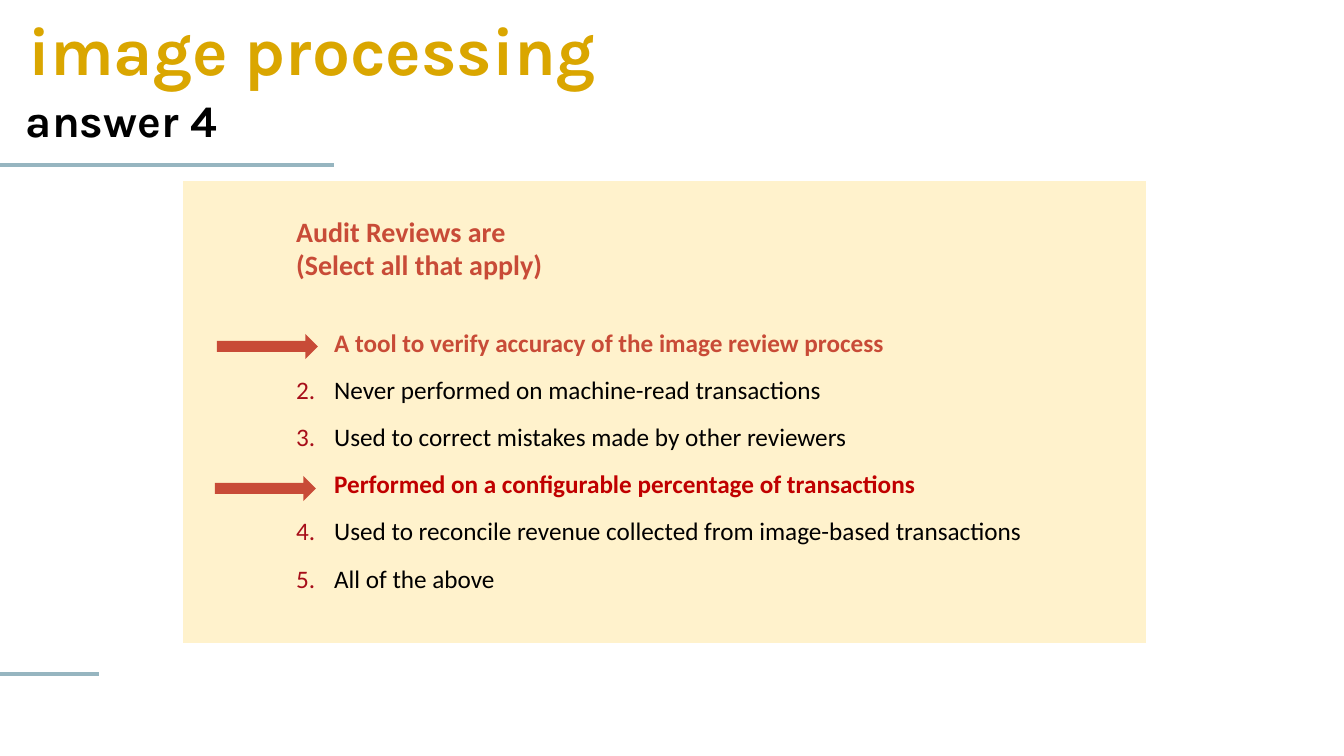
from lxml.etree import SubElement
from pptx import Presentation
from pptx.dml.color import RGBColor
from pptx.enum.shapes import MSO_CONNECTOR, MSO_SHAPE
from pptx.enum.text import MSO_ANCHOR, MSO_AUTO_SIZE, PP_ALIGN
from pptx.oxml.ns import qn
from pptx.util import Emu, Pt

EMU_PER_PX = 914400 / 100.8
COLORS = {
    "title": "DAA600", "text": "000000", "rule": "96B5C0",
    "panel": "FFF2CC", "border": "FFFFFF", "heading": "C84B37",
    "correct": "C00000", "number": "A70E19", "arrow_fill": "4472C4",
}
QUESTION = ["Audit Reviews are", "(Select all that apply)"]
# Each answer: wording, color, first number of its list (None marks a correct answer)
ANSWERS = [
    ("A tool to verify accuracy of the image review process", "heading", None),
    ("Never performed on machine-read transactions", "text", 2),
    ("Used to correct mistakes made by other reviewers", "text", 2),
    ("Performed on a configurable percentage of transactions", "correct", None),
    ("Used to reconcile revenue collected from image-based transactions", "text", 4),
    ("All of the above", "text", 4),
]


def px(length):
    return Emu(round(length * EMU_PER_PX))


def rgb(name):
    return RGBColor.from_string(COLORS[name])


def place(shape, left, top, width, height):
    shape.left, shape.top = px(left), px(top)
    shape.width, shape.height = px(width), px(height)


def set_up_frame(shape):
    frame = shape.text_frame
    frame.word_wrap = True
    frame.auto_size = MSO_AUTO_SIZE.NONE
    frame.vertical_anchor = MSO_ANCHOR.TOP
    return frame


def add_run(paragraph, text, font_name, size, color, bold=True):
    run = paragraph.add_run()
    run.text = text
    run.font.name = font_name
    run.font.size = Pt(size)
    run.font.bold = bold
    run.font.color.rgb = rgb(color)


def format_paragraph(paragraph, before=0, after=0):
    paragraph.alignment = PP_ALIGN.LEFT
    paragraph.line_spacing = 1.0
    paragraph.space_before = Pt(before)
    paragraph.space_after = Pt(after)


def set_numbering(paragraph, margin, start=None):
    properties = paragraph._p.get_or_add_pPr()
    properties.set("marL", str(px(margin)))
    properties.set("indent", str(px(-margin) if start else 0))
    if start is None:
        SubElement(properties, qn("a:buNone"))
        return
    bullet_color = SubElement(properties, qn("a:buClr"))
    SubElement(bullet_color, qn("a:srgbClr"), val=COLORS["number"])
    SubElement(properties, qn("a:buFont"), typeface="+mj-lt")
    SubElement(properties, qn("a:buAutoNum"), type="arabicPeriod", startAt=str(start))


def write_heading(shape, text, size, color):
    paragraph = set_up_frame(shape).paragraphs[0]
    format_paragraph(paragraph)
    add_run(paragraph, text, "Karla", size, color)


def add_rule(slide, top, width):
    rule = slide.shapes.add_connector(
        MSO_CONNECTOR.STRAIGHT, px(0), px(top), px(width), px(top))
    rule.line.color.rgb = rgb("rule")
    rule.line.width = Pt(3)
    SubElement(rule._element.spPr, qn("a:effectLst"))


def add_panel(slide, left, top, width, height):
    table = slide.shapes.add_table(
        1, 1, px(left), px(top), px(width), px(height)).table
    table.first_row = table.horz_banding = False
    cell = table.cell(0, 0)
    properties = cell._tc.get_or_add_tcPr()
    for side, points in (("L", 1), ("R", 1), ("T", 1), ("B", 3)):
        border = SubElement(properties, qn(f"a:ln{side}"), w=str(Pt(points)))
        fill = SubElement(border, qn("a:solidFill"))
        SubElement(fill, qn("a:srgbClr"), val=COLORS["border"])
    cell.fill.solid()
    cell.fill.fore_color.rgb = rgb("panel")


def write_quiz(body):
    frame = set_up_frame(body)
    question = frame.paragraphs[0]
    format_paragraph(question, after=27)
    set_numbering(question, 0)
    add_run(question, QUESTION[0], "Calibri", 20, "heading")
    question.add_line_break()
    add_run(question, QUESTION[1], "Calibri", 20, "heading")
    for wording, color, start in ANSWERS:
        answer = frame.add_paragraph()
        format_paragraph(answer, before=6, after=6)
        set_numbering(answer, 38, start)
        add_run(answer, wording, "Calibri", 18, color, bold=start is None)


def add_answer_arrow(slide, left, top):
    arrow = slide.shapes.add_shape(
        MSO_SHAPE.RIGHT_ARROW, px(left), px(top), px(91), px(5))
    arrow.shadow.inherit = False
    arrow.fill.solid()
    arrow.fill.fore_color.rgb = rgb("arrow_fill")
    arrow.line.color.rgb = rgb("heading")
    arrow.line.width = Pt(6)
    SubElement(arrow.line._get_or_add_ln(), qn("a:miter"), lim="800000")


def main():
    deck = Presentation()
    deck.slide_width, deck.slide_height = px(1344), px(756)
    slide = deck.slides.add_slide(deck.slide_layouts[1])
    title, body = slide.placeholders

    # Titles and accent rules
    place(title, 18, 3, 656, 92)
    write_heading(title, "image processing", 48, "title")
    subtitle = slide.shapes.add_textbox(px(16), px(88), px(656), px(65))
    write_heading(subtitle, "answer 4", 32, "text")
    add_rule(slide, 165, 334)
    add_rule(slide, 674, 99)

    # Quiz, brought in front of its panel
    add_panel(slide, 182, 180, 965, 465)
    place(body, 286, 209, 789, 395)
    write_quiz(body)
    slide.shapes._spTree.append(body._element)

    # Arrows at the correct answers
    add_answer_arrow(slide, 221, 344)
    add_answer_arrow(slide, 219, 486)

    deck.save("out.pptx")


if __name__ == "__main__":
    main()
